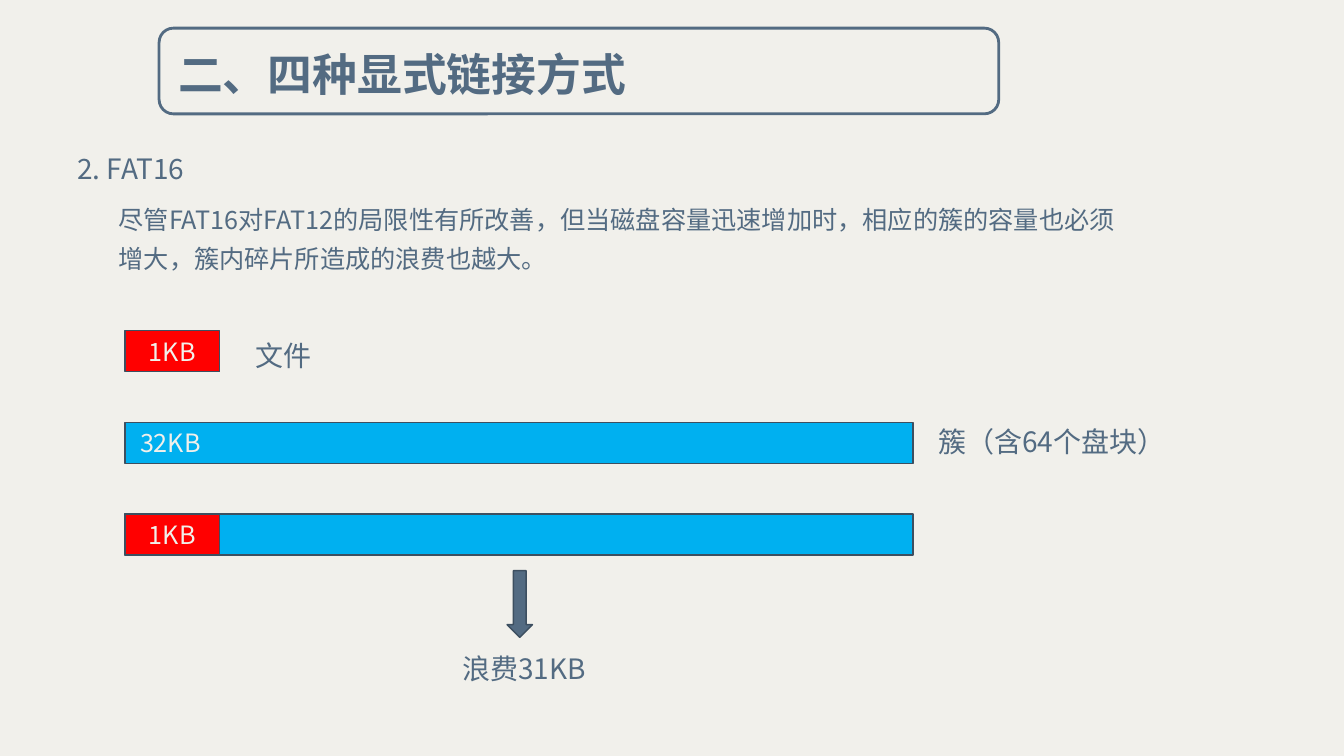
"""Build the FAT16 slide showing how large clusters waste space."""
from lxml import etree
from pptx import Presentation
from pptx.dml.color import RGBColor
from pptx.enum.shapes import MSO_SHAPE
from pptx.enum.text import MSO_ANCHOR, PP_ALIGN
from pptx.oxml.ns import qn
from pptx.util import Cm, Pt

RECT = MSO_SHAPE.RECTANGLE
ROUND = MSO_SHAPE.ROUNDED_RECTANGLE
ARROW = MSO_SHAPE.DOWN_ARROW
TOP, MIDDLE = MSO_ANCHOR.TOP, MSO_ANCHOR.MIDDLE
LEFT, CENTER = PP_ALIGN.LEFT, PP_ALIGN.CENTER

THEME = {
    "font": "Noto Sans CJK SC",
    "paper": "F1F0EB", "ink": "536B82", "edge": "3D4F60",
    "file": "FF0000", "cluster": "00B0F0",
    "title": 32, "head": 20, "body": 18,
}

TITLE = "二、四种显式链接方式"
BODY = ("尽管FAT16对FAT12的局限性有所改善，但当磁盘容量迅速增加时，"
        "相应的簇的容量也必须增大，簇内碎片所造成的浪费也越大。")

TEXTS = [
    (TITLE, (4.24, 0.38, 20.75, 2.79), "title", 1.5),
    ("2. FAT16", (1.7, 3.43, 12.62, 1.37), "head", 1.3),
    (BODY, (2.74, 4.8, 25.78, 2.26), "body", 1.3),
    ("文件", (6.2, 8.15, 4.6, 1.37), "head", 1.3),
    ("簇（含64个盘块）", (23.39, 10.31, 7.95, 1.37), "head", 1.3),
    ("浪费31KB", (11.4, 16.05, 3.71, 1.37), "head", 1.3),
]

BAR_X, BAR_Y, STEP, BAR_H = 3.15, 8.33, 2.31, 1.04
WIDTHS = {"file": 2.39, "cluster": 19.86}
BARS = [
    (0, "file", "1KB", CENTER),
    (1, "cluster", "32KB", LEFT),
    (2, "cluster", "", LEFT),
    (2, "file", "1KB", CENTER),
]


def color(name):
    return RGBColor.from_string(THEME[name])


def write(frame, text, size, tint, align=LEFT, anchor=TOP, space=1.0):
    frame.word_wrap = True
    frame.vertical_anchor = anchor
    frame.text = text
    para = frame.paragraphs[0]
    para.alignment = align
    para.line_spacing = space
    for run in para.runs:
        font = run.font
        font.size = Pt(THEME[size])
        font.bold = size == "title"
        font.color.rgb = color(tint)
        font.name = THEME["font"]
        east = etree.SubElement(run._r.get_or_add_rPr(), qn("a:ea"))
        east.set("typeface", THEME["font"])


def draw(slide, kind, box, fill, edge, width):
    shape = slide.shapes.add_shape(kind, *map(Cm, box))
    shape.shadow.inherit = False
    if fill:
        shape.fill.solid()
        shape.fill.fore_color.rgb = color(fill)
    else:
        shape.fill.background()
    shape.line.color.rgb = color(edge)
    shape.line.width = Pt(width)
    return shape


def main():
    deck = Presentation()
    deck.slide_width, deck.slide_height = Cm(33.87), Cm(19.05)
    slide = deck.slides.add_slide(deck.slide_layouts[6])
    slide.background.fill.solid()
    slide.background.fill.fore_color.rgb = color("paper")

    draw(slide, ROUND, (4.01, 0.71, 21.16, 2.16), None, "ink", 2)
    for text, box, size, space in TEXTS:
        label = slide.shapes.add_textbox(*map(Cm, box))
        write(label.text_frame, text, size, "ink", space=space)

    for row, kind, text, align in BARS:
        box = (BAR_X, BAR_Y + row * STEP, WIDTHS[kind], BAR_H)
        bar = draw(slide, RECT, box, kind, "edge", 1)
        if text:
            write(bar.text_frame, text, "body", "paper", align, MIDDLE)
        if align == LEFT:
            bar.text_frame.margin_left = Cm(0.38)

    draw(slide, ARROW, (12.78, 14.38, 0.64, 1.68), "ink", "edge", 1)
    deck.save("out.pptx")


if __name__ == "__main__":
    main()
